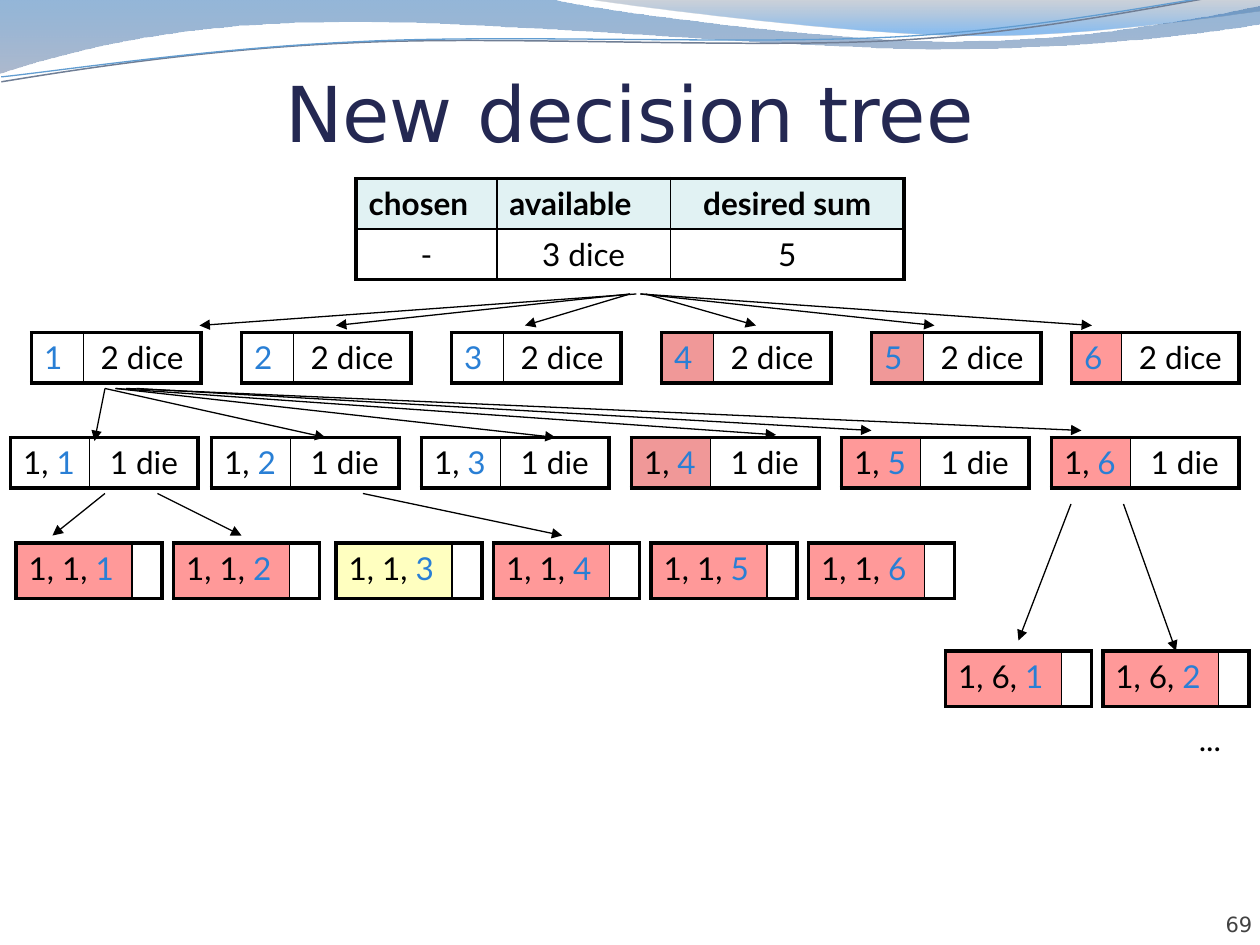
from dataclasses import dataclass
from typing import Optional

import pptx
import pptx.dml.color
import pptx.enum.shapes
import pptx.enum.text
import pptx.oxml.ns
import pptx.util
from lxml import etree

Pt = pptx.util.Pt
Align = pptx.enum.text.PP_ALIGN
Anchor = pptx.enum.text.MSO_ANCHOR
Point = tuple[float, float]
qn = pptx.oxml.ns.qn


@dataclass(frozen=True)
class Theme:
    body_font: str = "Lato"
    title_font: str = "DejaVu Sans"
    title_size: float = 44
    body_size: float = 18
    number_size: float = 12
    thick: float = 2.25
    thin: float = 1
    arrow: float = 0.75
    ink: str = "000000"
    title: str = "242852"
    number: str = "424242"
    choice: str = "297FD5"
    header: str = "E1F2F3"
    pruned: str = "FF9999"
    pruned_soft: str = "F09898"
    solution: str = "FFFFC0"


THEME = Theme()


@dataclass(frozen=True)
class Level:
    """Shared geometry and right-hand label of one row of tree nodes."""
    top: float
    height: float
    columns: tuple[float, float]
    remaining: str


@dataclass(frozen=True)
class Node:
    level: Level
    left: float
    prefix: str
    choice: int
    fill: Optional[str] = None


@dataclass(frozen=True)
class Wave:
    """Start point, then segments: one point is a line, three are a Bézier curve."""
    start: Point
    segments: tuple[tuple[Point, ...], ...]
    stops: tuple[tuple[int, str, int], ...] = ()  # position %, colour, opacity %
    line: Optional[tuple[str, float]] = None
    rotation: float = 0


ONE_DIE_USED = Level(190, 28.8, (29.6, 67.2), "2 dice")
LAST_FIRST_CHOICE = Level(190, 28.8, (28.6, 67.2), "2 dice")
TWO_DICE_USED = Level(250, 28.8, (45.2, 62), "1 die")
ALL_DICE_USED = Level(310.2, 31.7, (66.2, 16.6), "")
LAST_BRANCH = Level(372.1, 31.7, (66.2, 16.6), "")

SOFT, PRUNED = THEME.pruned_soft, THEME.pruned
FIRST_FILLS = (None, None, None, SOFT, SOFT)
SECOND_FILLS = (None, None, None, SOFT, PRUNED, PRUNED)
THIRD_FILLS = (PRUNED, PRUNED, THEME.solution, PRUNED, PRUNED, PRUNED)

NODES = [
    *(Node(ONE_DIE_USED, 18 + 120 * i, "", i + 1, fill)
      for i, fill in enumerate(FIRST_FILLS)),
    Node(LAST_FIRST_CHOICE, 612.3, "", 6, PRUNED),
    *(Node(TWO_DICE_USED, max(0.8 + 120 * i, 6), "1, ", i + 1, fill)
      for i, fill in enumerate(SECOND_FILLS)),
    *(Node(ALL_DICE_USED, 9.2 + 90 * i + (2.8 if i > 1 else 0), "1, 1, ", i + 1, fill)
      for i, fill in enumerate(THIRD_FILLS)),
    *(Node(LAST_BRANCH, 540.3 + 89.9 * i, "1, 6, ", i + 1, PRUNED) for i in range(2)),
]

ARROWS: list[tuple[Point, Point]] = [
    *(((x, 168), (end, 186)) for x, end in (
        (363.6, 114), (360, 192), (360, 300), (369, 432), (366, 534), (366, 624))),
    *(((x, 222), end) for x, end in (
        (60, (54, 252)), (60, (186, 250)), (66, (317.5, 250)),
        (66, (443.5, 248.5)), (78, (498, 246)), (72, (618, 246)))),
    *(((x, 282), (end, 306)) for x, end in ((60, 30), (90, 138), (207.4, 321.3))),
    ((612, 288), (582, 366)),
    ((642, 288), (672, 372)),
]

WAVES = [
    Wave((0, 0), (
        ((316.8, 0),),
        ((342.7, 6.5), (478, 23.8), (545.8, 23.8)),
        ((614.2, 23.8), (689.8, 10.1), (720, 3.6)),
        ((720.7, 13.7),),
        ((707.8, 16.6), (626.4, 28.1), (537.1, 28.1)),
        ((447.8, 28.1), (275, 10.8), (185, 13)),
        ((92.9, 13.7), (33.1, 31), (-0.7, 41.8)),
        ((0, 0),)),
        stops=((0, "125EAA", 45), (100, "697FA4", 55))),
    Wave((336.2, 0), (
        ((358.6, 3.6), (485.3, 19.4), (549.4, 20.2)),
        ((613.4, 21.6), (691.9, 10.1), (720, 6.5)),
        ((720, 0),),
        ((336.2, 0),)),
        stops=((0, "596982", 30), (80, "0670DA", 45))),
    Wave((0, 29.8), (
        ((35.5, 25.7), (115.2, 16.5), (201, 17)),
        ((286.7, 16.7), (426.6, 31.2), (513.9, 30.2)),
        ((600.4, 29.3), (678.2, 14.9), (720.9, 11.1))),
        line=("707E95", 0.85), rotation=357.3),
    Wave((0, 27), (
        ((34.8, 25), (119.4, 16.1), (205.2, 16.5)),
        ((291, 16.1), (428.8, 29.1), (515.3, 28.2)),
        ((601.9, 27.2), (678.2, 14.2), (720.8, 11.1))),
        line=("629DD1", 0.75), rotation=357.3),
]


def rgb(value: str) -> pptx.dml.color.RGBColor:
    return pptx.dml.color.RGBColor.from_string(value)


def write(paragraph, text: str, *, size: float = THEME.body_size, color: str = THEME.ink,
          font: str = THEME.body_font, bold: bool = False, align=Align.LEFT) -> None:
    """Append one formatted run to the paragraph."""
    paragraph.alignment = align
    run = paragraph.add_run()
    run.text = text
    run.font.size, run.font.name, run.font.bold = Pt(size), font, bold
    run.font.color.rgb = rgb(color)


def add_label(slide, box: tuple[float, ...], text: str, *, insets=(0, 0, 0, 0),
              anchor=Anchor.BOTTOM, wrap: bool = True, **text_format) -> None:
    frame = slide.shapes.add_textbox(*map(Pt, box)).text_frame
    frame.word_wrap, frame.vertical_anchor = wrap, anchor
    (frame.margin_left, frame.margin_top,
     frame.margin_right, frame.margin_bottom) = map(Pt, insets)
    write(frame.paragraphs[0], text, **text_format)


def draw_wave(slide, wave: Wave) -> None:
    points = [(Pt(x), Pt(y)) for segment in wave.segments for x, y in segment]
    builder = slide.shapes.build_freeform(Pt(wave.start[0]), Pt(wave.start[1]))
    builder.add_line_segments(points, close=bool(wave.stops))
    shape = builder.convert_to_shape()
    pieces = iter(list(shape.element.iter(qn("a:lnTo"))))
    for segment in wave.segments:
        first, *others = [next(pieces) for _ in segment]
        if others:
            first.tag = qn("a:cubicBezTo")
        for other in others:
            first.append(other[0])
            other.getparent().remove(other)
    shape.shadow.inherit = False
    shape.rotation = wave.rotation
    if wave.line:
        shape.fill.background()
        shape.line.color.rgb, shape.line.width = rgb(wave.line[0]), Pt(wave.line[1])
        return
    shape.line.fill.background()
    shape.fill.gradient()
    shape.fill.gradient_angle = 270
    elements = shape.element.spPr.iter(qn("a:gs"))
    for stop, element, (position, color, opacity) in zip(
            shape.fill.gradient_stops, elements, wave.stops):
        stop.color.rgb = rgb(color)
        element.set("pos", str(position * 1000))
        etree.SubElement(element[0], qn("a:alpha"), val=str(opacity * 1000))


def add_grid(slide, left: float, top: float, columns, rows):
    """Add a table with a thick outer frame and thin inner rules."""
    table = slide.shapes.add_table(len(rows), len(columns), Pt(left), Pt(top),
                                   Pt(sum(columns)), Pt(sum(rows))).table
    table.first_row = table.horz_banding = False
    for column, width in zip(table.columns, columns):
        column.width = Pt(width)
    for row, height in zip(table.rows, rows):
        row.height = Pt(height)
    for r in range(len(rows)):
        for c in range(len(columns)):
            cell = table.cell(r, c)
            outer = {"lnL": c == 0, "lnR": c == len(columns) - 1,
                     "lnT": r == 0, "lnB": r == len(rows) - 1}
            properties = cell._tc.get_or_add_tcPr()
            for side, is_outer in outer.items():
                width = Pt(THEME.thick if is_outer else THEME.thin)
                border = etree.SubElement(properties, qn(f"a:{side}"), w=str(int(width)))
                solid = etree.SubElement(border, qn("a:solidFill"))
                etree.SubElement(solid, qn("a:srgbClr"), val=THEME.ink)
            cell.fill.background()
    return table


def shade(cell, color: str) -> None:
    cell.fill.solid()
    cell.fill.fore_color.rgb = rgb(color)


def draw_root(slide) -> None:
    table = add_grid(slide, 203.5, 102, (80.4, 99.2, 133.6), (28.8, 28.8))
    columns = (("chosen", "-", Align.LEFT), ("available", "3 dice", Align.LEFT),
               ("desired sum", "5", Align.CENTER))
    for c, (heading, value, align) in enumerate(columns):
        shade(table.cell(0, c), THEME.header)
        write(table.cell(0, c).text_frame.paragraphs[0], heading, bold=True, align=align)
        write(table.cell(1, c).text_frame.paragraphs[0], value, align=Align.CENTER)


def draw_node(slide, node: Node) -> None:
    level = node.level
    table = add_grid(slide, node.left, level.top, level.columns, (level.height,))
    chosen, available = (table.cell(0, c) for c in range(2))
    if node.fill:
        shade(chosen, node.fill)
    if node.prefix:
        write(chosen.text_frame.paragraphs[0], node.prefix)
    write(chosen.text_frame.paragraphs[0], str(node.choice), color=THEME.choice)
    if level.remaining:
        write(available.text_frame.paragraphs[0], level.remaining, align=Align.CENTER)


def draw_arrow(slide, start: Point, end: Point) -> None:
    arrow = slide.shapes.add_connector(pptx.enum.shapes.MSO_CONNECTOR.STRAIGHT,
                                       *map(Pt, (*start, *end)))
    arrow.line.color.rgb, arrow.line.width = rgb(THEME.ink), Pt(THEME.arrow)
    etree.SubElement(arrow.line._get_or_add_ln(), qn("a:tailEnd"), type="triangle")
    etree.SubElement(arrow._element.spPr, qn("a:effectLst"))


def main() -> None:
    deck = pptx.Presentation()
    deck.slide_width, deck.slide_height = Pt(720), Pt(540)
    slide = deck.slides.add_slide(deck.slide_layouts[6])
    for wave in WAVES:
        draw_wave(slide, wave)
    add_label(slide, (656, 506.4, 59.6, 28.8), "69", size=THEME.number_size,
              color=THEME.number, font=THEME.title_font, align=Align.RIGHT)
    add_label(slide, (36, 34.6, 648, 55.4), "New decision tree", insets=(0, 3.6, 0, 0),
              size=THEME.title_size, color=THEME.title, font=THEME.title_font,
              align=Align.CENTER)
    draw_root(slide)
    for node in NODES:
        draw_node(slide, node)
    for start, end in ARROWS:
        draw_arrow(slide, start, end)
    add_label(slide, (678, 408, 31, 28.8), "...", insets=(7.2, 3.6, 7.2, 3.6),
              anchor=Anchor.TOP, wrap=False)
    deck.save("out.pptx")


if __name__ == "__main__":
    main()
